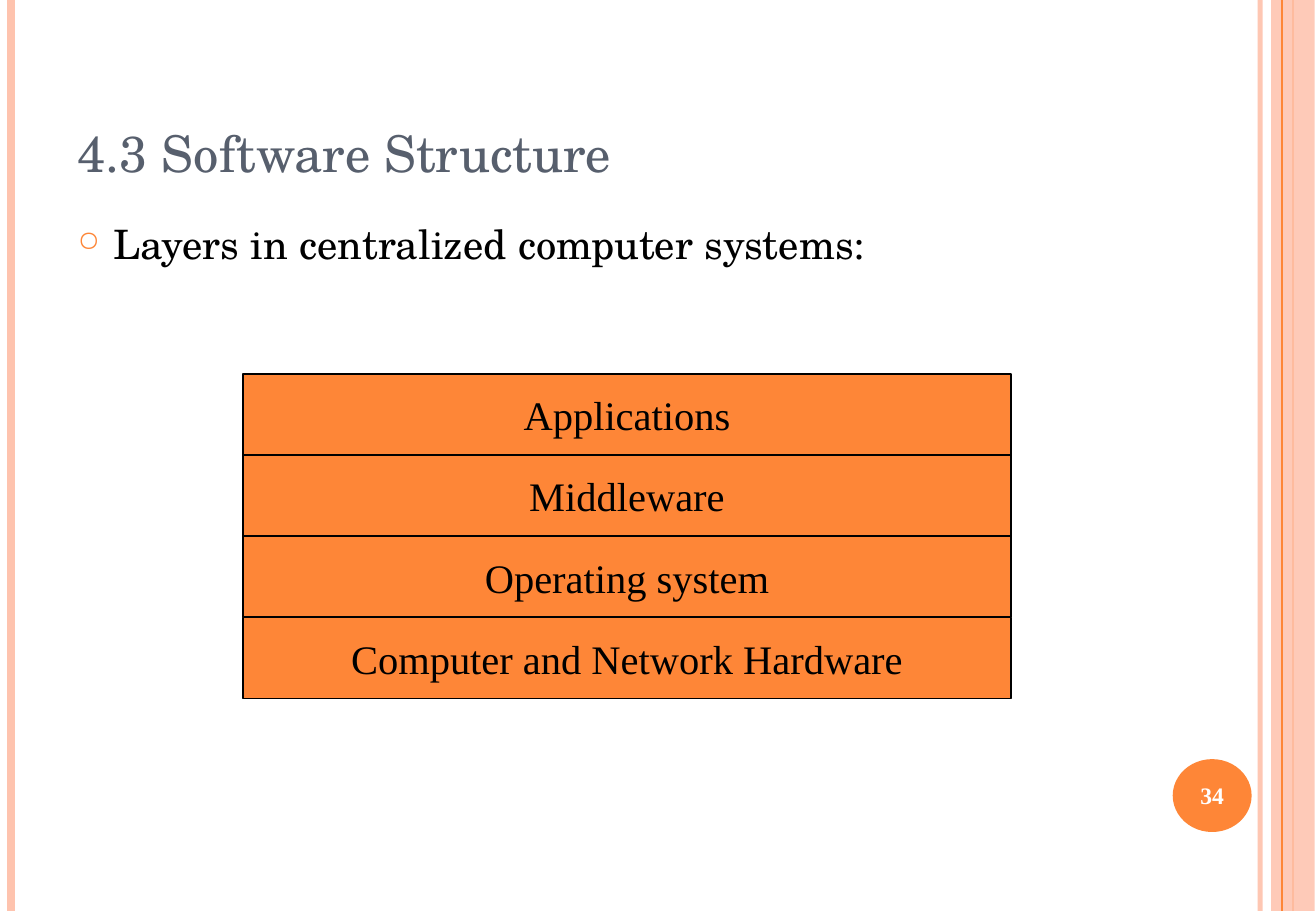
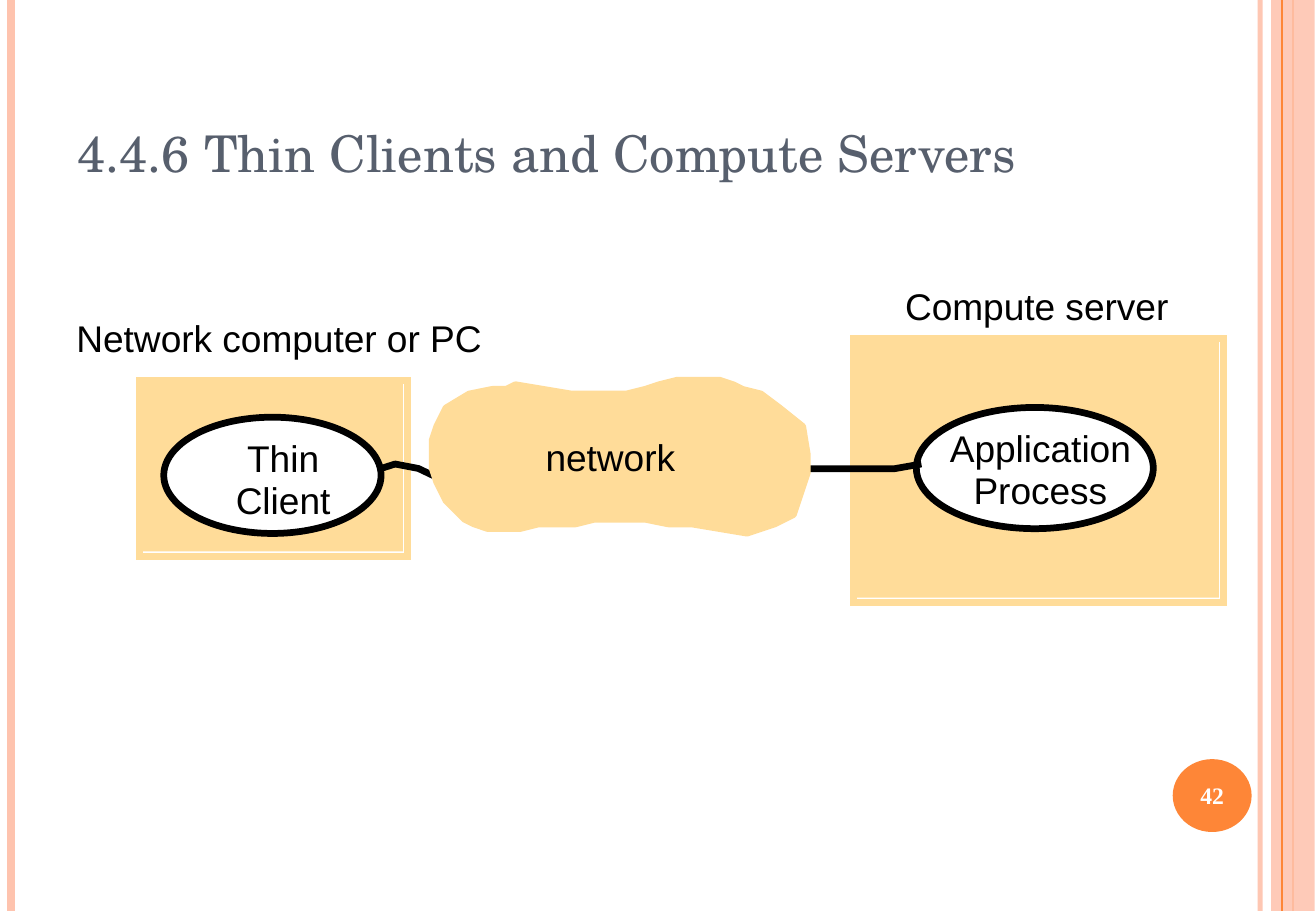
from lxml import etree
from pptx import Presentation
from pptx import util as u
from pptx.dml.color import RGBColor
from pptx.enum import shapes, text
from pptx.oxml import ns

W, H = 10.84, 7.5

ORANGE = RGBColor(0xFE, 0x86, 0x37)
PEACH = RGBColor(0xFE, 0xC3, 0xAE)
SAND = RGBColor(0xFF, 0xDC, 0x99)
SLATE = RGBColor(0x57, 0x5F, 0x6D)
BLACK = RGBColor(0, 0, 0)
WHITE = RGBColor(0xFF, 0xFF, 0xFF)

SERIF, ROMAN, SANS = "TeX Gyre Schola", "Times New Roman", "Arial"
RECT = shapes.MSO_SHAPE.RECTANGLE
OVAL = shapes.MSO_SHAPE.OVAL
LEFT, MID = text.PP_ALIGN.LEFT, text.PP_ALIGN.CENTER
TOP, CENTER, BASE = (text.MSO_ANCHOR.TOP, text.MSO_ANCHOR.MIDDLE,
                     text.MSO_ANCHOR.BOTTOM)

# Outline of the network cloud on a grid of 81 columns and 33 rows
CLOUD = [(2, 8), (3, 6), (8, 3), (13, 2), (16, 2), (18, 1), (30, 3), (42, 3),
         (46, 2), (49, 1), (53, 0), (62, 0), (65, 1), (67, 2), (71, 3),
         (75, 6), (80, 10), (81, 16), (81, 20), (80, 23), (78, 29), (74, 31),
         (68, 33), (62, 32), (56, 31), (51, 31), (46, 30), (35, 30), (31, 31),
         (23, 31), (19, 32), (12, 32), (9, 31), (7, 30), (6, 29), (5, 28),
         (3, 26), (1, 22), (0, 19), (0, 13), (1, 10)]


def inches(box):
    return [u.Inches(v) for v in box]


def part(box, share):
    """Return the part of a box given as shares of its size."""
    x, y, w, h = box
    a, b, c, d = share
    return x + a * w, y + b * h, c * w, d * h


def fade(fill, alpha):
    """Make a solid fill see-through; alpha in percent."""
    tone = fill.find(".//" + ns.qn("a:srgbClr"))
    etree.SubElement(tone, ns.qn("a:alpha"), val=str(alpha * 1000))


def paint(shape, fill=None, line=None, width=1):
    shape.shadow.inherit = False
    if fill is None:
        shape.fill.background()
    else:
        shape.fill.solid()
        shape.fill.fore_color.rgb = fill
    if line is None:
        shape.line.fill.background()
    else:
        shape.line.color.rgb = line
        shape.line.width = u.Pt(width)
    return shape


def draw(slide, kind, box, **style):
    return paint(slide.shapes.add_shape(kind, *inches(box)), **style)


def trace(slide, box, grid, pts, close=False, **style):
    """Draw an outline whose points are grid steps inside the box."""
    x, y, w, h = box
    scale = [u.Inches(1) * size / n for size, n in zip((w, h), grid)]
    spots = [(round(a * scale[0]), round(b * scale[1])) for a, b in pts]
    pen = slide.shapes.build_freeform(*spots[0])
    pen.add_line_segments(spots[1:], close=close)
    return paint(pen.convert_to_shape(u.Inches(x), u.Inches(y)), **style)


def write(shape, words, size=24, font=ROMAN, color=BLACK, bold=False,
          align=LEFT, anchor=TOP, wrap=True, inset=(0.1, 0.05), lead=None):
    """Fill a shape with text, one paragraph for each line."""
    frame = shape.text_frame
    frame.word_wrap = wrap
    frame.vertical_anchor = anchor
    frame.margin_left = frame.margin_right = u.Inches(inset[0])
    frame.margin_top = frame.margin_bottom = u.Inches(inset[1])
    frame.text = words
    for para in frame.paragraphs:
        para.alignment = align
        if lead:
            para.line_spacing = u.Pt(lead)
        face = para.font
        face.size, face.name, face.bold = u.Pt(size), font, bold
        face.color.rgb = color
    return frame


def note(slide, box, words, **form):
    return write(slide.shapes.add_textbox(*inches(box)), words, **form)


def label(slide, box, words):
    """Place a diagram label, centred on its box."""
    note(slide, box, words, size=22, font=SANS, align=MID, wrap=False,
         inset=(0, 0), lead=24.8)


def rule(slide, x, color, width, alpha=100):
    """Draw a line down the full height of the slide."""
    line = slide.shapes.add_connector(
        shapes.MSO_CONNECTOR.STRAIGHT, *inches((x, 0, x, H)))
    line.line.color.rgb = color
    line.line.width = u.Pt(width)
    props = line._element.spPr
    if alpha < 100:
        fade(props, alpha)
    etree.SubElement(props, ns.qn("a:effectLst"))


def bullet(para):
    props = para._p.get_or_add_pPr()
    props.set("marL", str(u.Inches(0.3)))
    props.set("indent", str(-u.Inches(0.3)))
    para.space_before = u.Pt(6)
    tone = etree.SubElement(props, ns.qn("a:buClr"))
    etree.SubElement(tone, ns.qn("a:srgbClr"), val=str(ORANGE))
    etree.SubElement(props, ns.qn("a:buSzPct"), val="70000")
    etree.SubElement(props, ns.qn("a:buChar"), char="○")


def base(deck, title, page):
    """Start a slide with its side bands, title and page badge."""
    slide = deck.slides.add_slide(deck.slide_layouts[6])
    # Side bands
    rule(slide, 10.38, PEACH, 3, alpha=93)
    rule(slide, 0.09, PEACH, 4.5)
    rule(slide, 10.65, ORANGE, 1.5)
    band = draw(slide, RECT, (10.47, 0, 0.36, H), fill=PEACH)
    fade(band._element.spPr, 87)
    rule(slide, 10.56, ORANGE, 0.75)
    # Page badge
    badge = draw(slide, OVAL, (9.66, 6.25, 0.65, 0.6), fill=ORANGE)
    write(badge, str(page), size=14, color=WHITE, bold=True, align=MID,
          anchor=CENTER, wrap=False)
    # Title
    note(slide, (0.54, 0.3, 8.85, 1.25), title, size=30, font=SERIF,
         color=SLATE, anchor=BASE)
    return slide


def stack(slide, box, names):
    """Pile equal layers from top to bottom of the box."""
    for i, name in enumerate(names):
        row = part(box, (0, i / len(names), 1, 1 / len(names)))
        layer = draw(slide, RECT, row, fill=ORANGE, line=BLACK)
        write(layer, name, align=MID, anchor=CENTER, wrap=False)


def host(slide, box, name, head, task, oval, body):
    """Draw a machine with its caption and the process inside it."""
    x, y, w, h = box
    draw(slide, RECT, (x, y, w - 0.04, h - 0.04), fill=SAND)
    edge = draw(slide, RECT, box, line=SAND, width=4)
    # Square corners
    etree.SubElement(edge._element.spPr.find(ns.qn("a:ln")),
                     ns.qn("a:miter"), lim="800000")
    draw(slide, OVAL, part(box, oval), fill=WHITE, line=BLACK, width=4)
    label(slide, part(box, body), task)
    label(slide, part(box, head), name)


def cloud(slide, box, name):
    trace(slide, box, (81, 33), CLOUD, close=True, fill=SAND, line=SAND,
          width=4)
    label(slide, part(box, (0.3, 0.37, 0.35, 0.29)), name)


def layers(deck):
    slide = base(deck, "4.3 Software Structure", 34)
    lead = note(slide, (0.54, 1.75, 8.85, 0.6),
                "Layers in centralized computer systems:", font=SERIF)
    bullet(lead.paragraphs[0])
    stack(slide, (2, 3.08, 6.33, 2.67),
          ["Applications", "Middleware", "Operating system",
           "Computer and Network Hardware"])


def clients(deck):
    slide = base(deck, "4.4.6 Thin Clients and Compute Servers", 42)
    # Machines
    host(slide, (1.15, 3.13, 2.21, 1.45), "Network computer or PC",
         (-0.34, -0.35, 1.72, 0.26), "Thin\nClient",
         oval=(0.09, 0.21, 0.81, 0.66), body=(0.31, 0.33, 0.45, 0.5))
    host(slide, (7.03, 2.79, 3.05, 2.17), "Compute server",
         (0.05, -0.2, 0.89, 0.17), "Application\nProcess",
         oval=(0.17, 0.26, 0.64, 0.46), body=(0.22, 0.34, 0.57, 0.33))
    # Wires, then the cloud over their ends
    trace(slide, (3.14, 3.82, 0.46, 0.11), (12, 3),
          [(0, 1), (3, 0), (8, 1), (12, 3)], line=BLACK, width=4)
    trace(slide, (6.45, 3.82, 1.14, 0.04), (30, 1),
          [(30, 0), (24, 1), (0, 1)], line=BLACK, width=4)
    cloud(slide, (3.56, 3.13, 3.09, 1.26), "network")


def main():
    deck = Presentation()
    deck.slide_width, deck.slide_height = u.Inches(W), u.Inches(H)
    layers(deck)
    clients(deck)
    deck.save("out.pptx")


if __name__ == "__main__":
    main()
